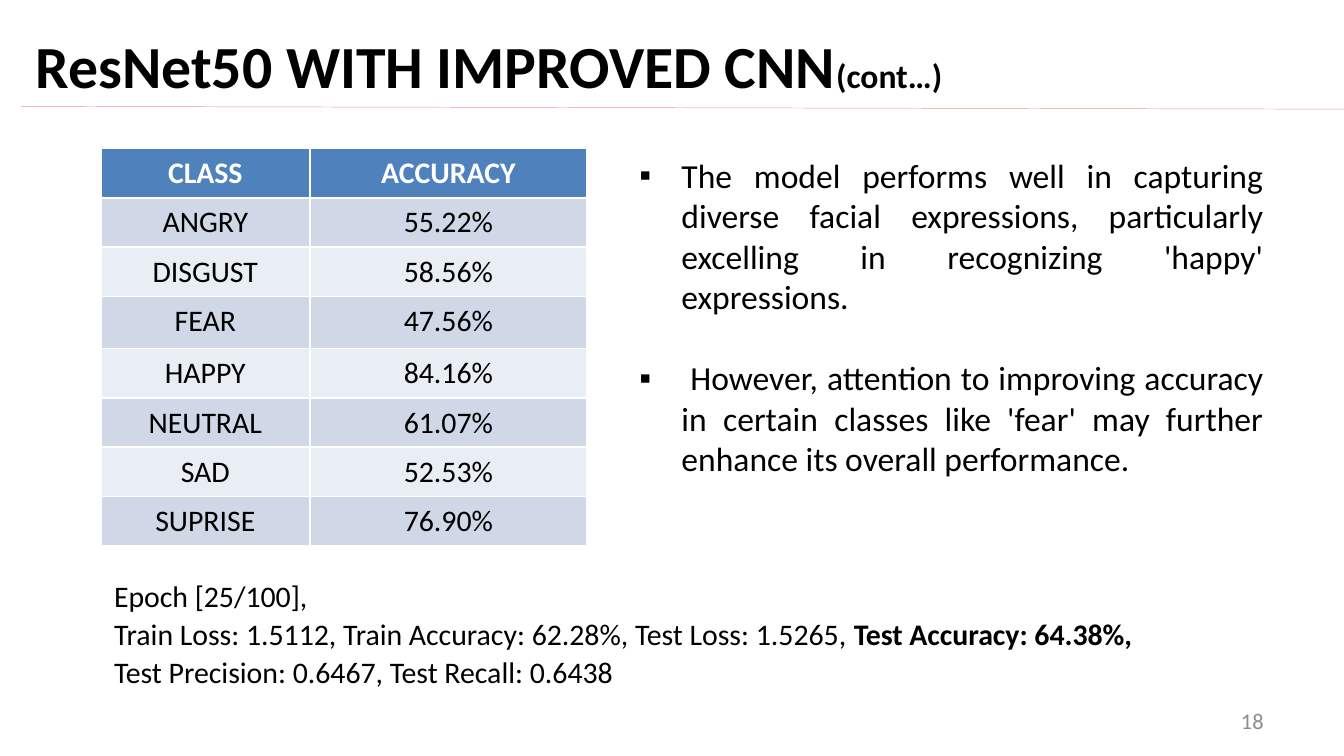
import pptx
import pptx.dml.color
import pptx.enum.shapes
import pptx.enum.text
import pptx.oxml.ns
import pptx.util
from lxml import etree

Pt = pptx.util.Pt
RGBColor = pptx.dml.color.RGBColor
ALIGN = pptx.enum.text.PP_ALIGN
ANCHOR = pptx.enum.text.MSO_ANCHOR
qn = pptx.oxml.ns.qn

BLACK = RGBColor(0x00, 0x00, 0x00)
WHITE = RGBColor(0xFF, 0xFF, 0xFF)
GRAY = RGBColor(0x8C, 0x8C, 0x8C)
ROSE = RGBColor(0xE4, 0x94, 0x8A)
HEADER_BLUE = RGBColor(0x4F, 0x81, 0xBD)
BAND_DARK = RGBColor(0xD0, 0xD8, 0xE8)
BAND_LIGHT = RGBColor(0xE9, 0xED, 0xF4)

ACCURACIES = [
    ("CLASS", "ACCURACY"),
    ("ANGRY", "55.22%"),
    ("DISGUST", "58.56%"),
    ("FEAR", "47.56%"),
    ("HAPPY", "84.16%"),
    ("NEUTRAL", "61.07%"),
    ("SAD", "52.53%"),
    ("SUPRISE", "76.90%"),
]
FINDINGS = [
    "The model performs well in capturing diverse facial expressions, "
    "particularly excelling in recognizing 'happy' expressions.",
    " However, attention to improving accuracy in certain classes like "
    "'fear' may further enhance its overall performance.",
]
# Each line is a list of (text, bold) spans.
EPOCH_LINES = [
    [("Epoch [25/100],", False)],
    [("Train Loss: 1.5112, Train Accuracy: 62.28%, Test Loss: 1.5265, ", False),
     ("Test Accuracy: 64.38%,", True)],
    [("Test Precision: 0.6467, Test Recall: 0.6438", False)],
]


def style_span(span, size, color=BLACK, bold=False):
    span.font.name = "Calibri"
    span.font.size = Pt(size)
    span.font.bold = bold
    span.font.color.rgb = color


def add_span(para, text, size, color=BLACK, bold=False):
    span = para.add_run()
    span.text = text
    style_span(span, size, color, bold)


def add_text_frame(page, box, anchor=ANCHOR.TOP):
    frame = page.shapes.add_textbox(*map(Pt, box)).text_frame
    frame.word_wrap = True
    frame.vertical_anchor = anchor
    return frame


def add_paragraph(frame, index):
    """Return the frame's first paragraph for index 0, else a new one."""
    return frame.add_paragraph() if index else frame.paragraphs[0]


def set_bullet(para, symbol, indent):
    properties = para._p.get_or_add_pPr()
    properties.set("marL", str(Pt(indent)))
    properties.set("indent", str(-Pt(indent)))
    etree.SubElement(properties, qn("a:buFont")).set("typeface", "Arial")
    etree.SubElement(properties, qn("a:buChar")).set("char", symbol)


def add_title(page, box):
    para = add_text_frame(page, box, ANCHOR.MIDDLE).paragraphs[0]
    para.line_spacing = 1.2
    add_span(para, "ResNet50 WITH IMPROVED CNN", 32, bold=True)
    add_span(para, "(cont…)", 18, bold=True)


def add_title_rule(page, box):
    left, top, width, height = box
    rule = page.shapes.add_connector(
        pptx.enum.shapes.MSO_CONNECTOR.STRAIGHT,
        Pt(left), Pt(top), Pt(left + width), Pt(top + height))
    rule.line.color.rgb = ROSE
    rule.line.width = Pt(0.25)
    etree.SubElement(rule._element.spPr, qn("a:effectLst"))


def add_accuracy_table(page, box):
    left, top, width, height = box
    table = page.shapes.add_table(
        len(ACCURACIES), 2, Pt(left), Pt(top), Pt(width), Pt(height)).table
    class_width = 112
    table.columns[0].width = Pt(class_width)
    table.columns[1].width = Pt(width - class_width)
    fear_height = 28
    row_height = (height - fear_height) / (len(ACCURACIES) - 1)
    for index, values in enumerate(ACCURACIES):
        header = index == 0
        fill = HEADER_BLUE if header else (BAND_LIGHT, BAND_DARK)[index % 2]
        table.rows[index].height = Pt(
            fear_height if values[0] == "FEAR" else row_height)
        for column, value in enumerate(values):
            cell = table.cell(index, column)
            cell.fill.solid()
            cell.fill.fore_color.rgb = fill
            cell.text_frame.text = value
            para = cell.text_frame.paragraphs[0]
            para.alignment = ALIGN.CENTER
            style_span(para.runs[0], 16, WHITE if header else BLACK, header)


def add_findings(page, box):
    frame = add_text_frame(page, box)
    for index, finding in enumerate(FINDINGS):
        para = add_paragraph(frame, index)
        para.alignment = ALIGN.JUSTIFY
        if index:
            para.space_before = Pt(22)
        set_bullet(para, "▪", 22.5)
        add_span(para, finding, 18)


def add_epoch_summary(page, box):
    frame = add_text_frame(page, box)
    for index, spans in enumerate(EPOCH_LINES):
        para = add_paragraph(frame, index)
        para.line_spacing = 1.07
        for text, bold in spans:
            add_span(para, text, 16, bold=bold)


def add_page_number(page, box):
    para = add_text_frame(page, box, ANCHOR.MIDDLE).paragraphs[0]
    para.alignment = ALIGN.RIGHT
    add_span(para, "18", 12, GRAY)


def main():
    deck = pptx.Presentation()
    deck.slide_width = Pt(720)
    deck.slide_height = Pt(405)
    page = deck.slides.add_slide(deck.slide_layouts[6])
    add_title(page, (12, 6, 522, 49.5))
    add_page_number(page, (516, 375, 168, 21.5))
    add_title_rule(page, (11.5, 57, 708.5, 1.5))
    add_epoch_summary(page, (54, 304.5, 630, 68.5))
    add_accuracy_table(page, (54, 79.5, 260.5, 212.5))
    add_findings(page, (335.5, 79.5, 348.5, 181.5))
    deck.save("out.pptx")


if __name__ == "__main__":
    main()
